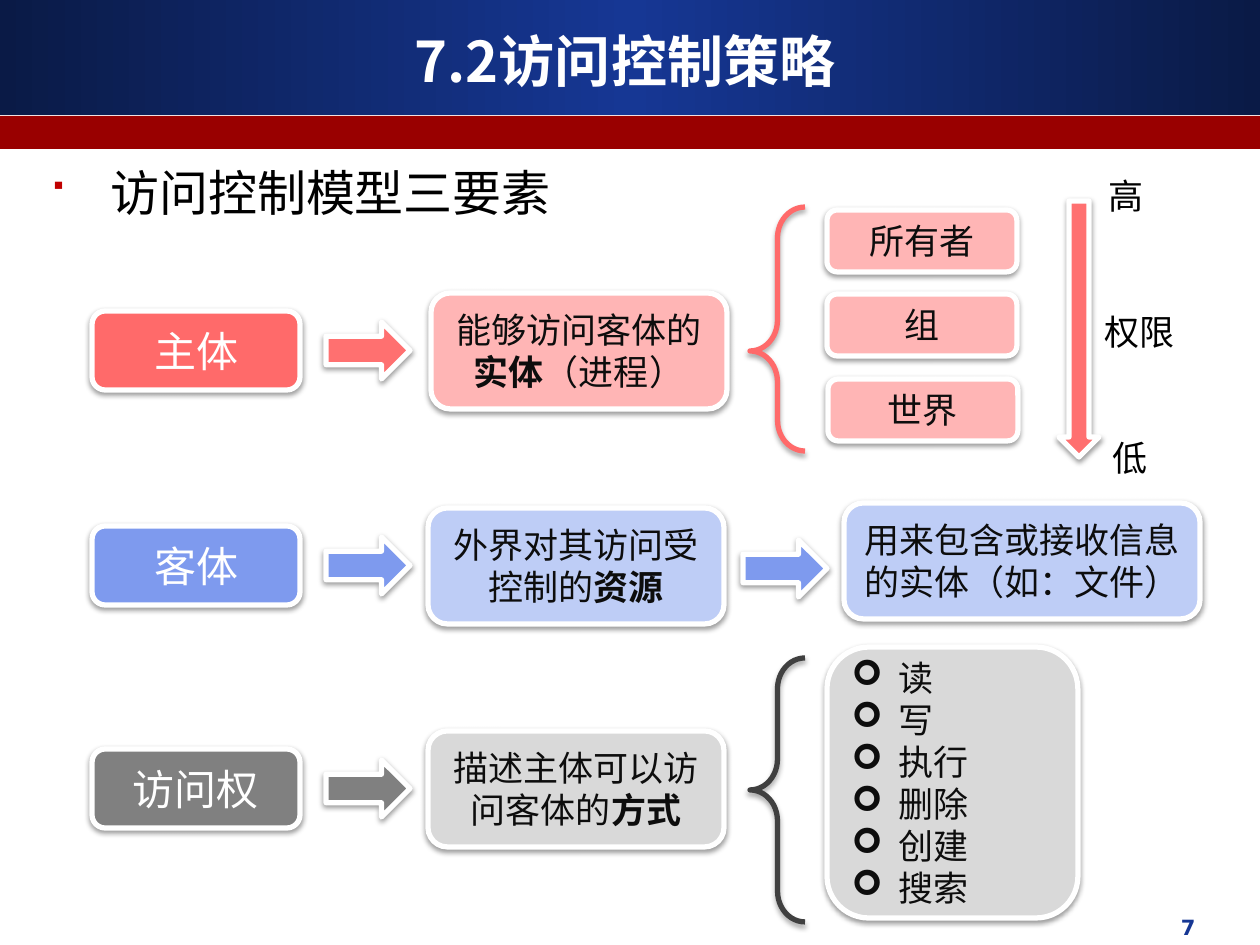
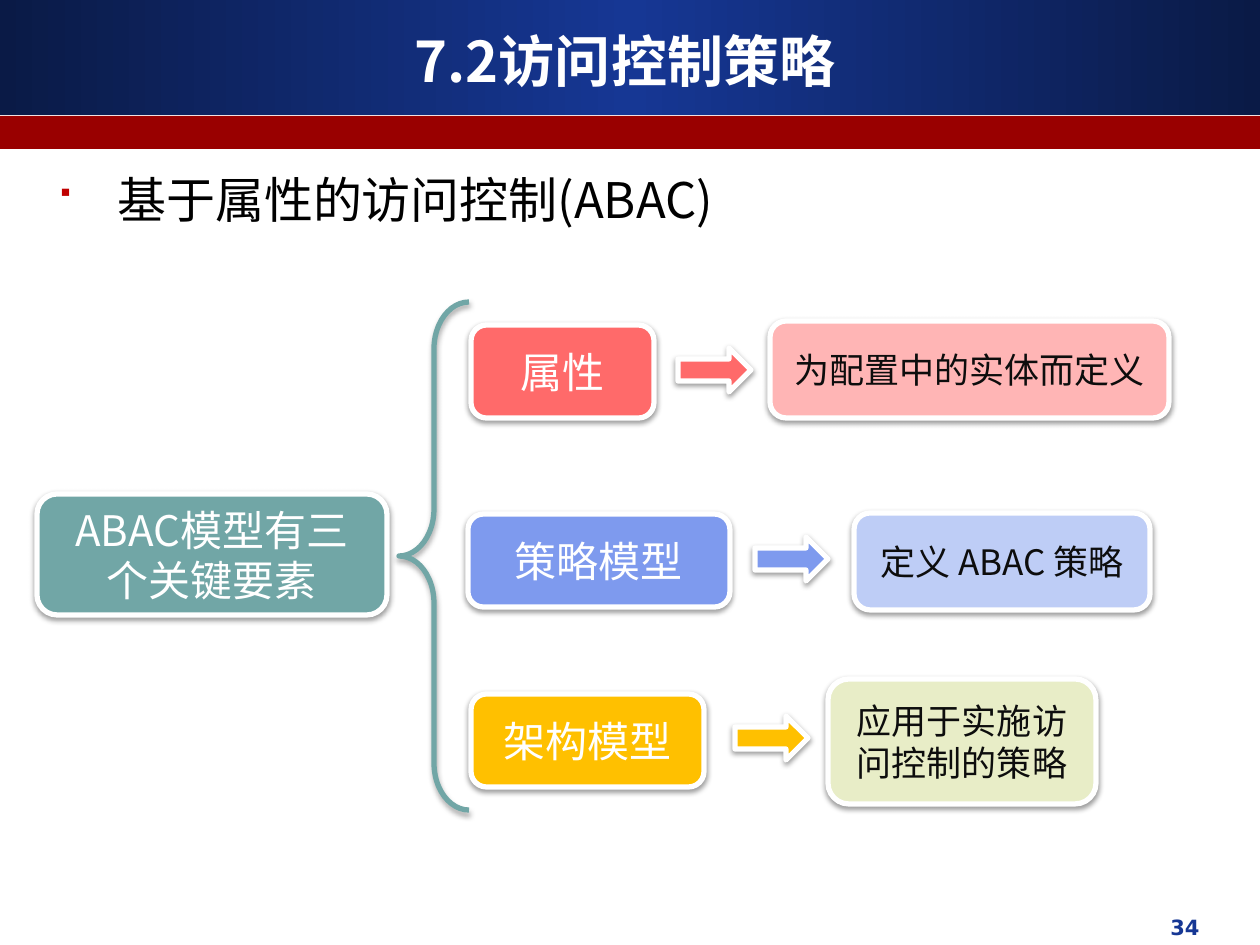
import lxml.etree
import pptx
import pptx.dml.color
import pptx.enum.shapes
import pptx.enum.text
import pptx.oxml.ns
import pptx.util

EMU_PER_PX = 914400 / 126
SHAPES = pptx.enum.shapes.MSO_SHAPE
ALIGN = pptx.enum.text.PP_ALIGN
ANCHOR = pptx.enum.text.MSO_ANCHOR

BODY_FONT = "Noto Sans CJK SC"
NUMBER_FONT = "DejaVu Sans"
WHITE, BLACK, INK = "FFFFFF", "000000", "0D0D0D"
BAND_EDGE, BAND_CENTRE, BAND_RED, BULLET_RED = "0A1A46", "163794", "990000", "C00000"
RED, ARROW_RED, PALE_RED = "FF6A6A", "FF7070", "FFB5B5"
BLUE, PALE_BLUE = "7E9AEE", "BECDF6"
GREY, PALE_GREY, DARK_GREY = "808080", "D9D9D9", "404040"
TEAL, AMBER, PALE_GREEN = "71A6A6", "FFC000", "E8EDC7"


def px(length):
    return pptx.util.Emu(round(length * EMU_PER_PX))


def color(value):
    return pptx.dml.color.RGBColor.from_string(value)


def add_element(parent, tag, **attributes):
    child = lxml.etree.SubElement(parent, pptx.oxml.ns.qn(tag))
    for name, value in attributes.items():
        child.set(name, str(value))
    return child


def add_bullet(para, symbol, indent, tint):
    properties = para._p.get_or_add_pPr()
    properties.set("marL", str(px(indent)))
    properties.set("indent", str(-px(indent)))
    add_element(add_element(properties, "a:buClr"), "a:srgbClr", val=tint)
    add_element(properties, "a:buFont", typeface="Wingdings")
    add_element(properties, "a:buChar", char=symbol)


def write_text(shape, text, size=20, tint=INK, font=BODY_FONT, bold=False, align=ALIGN.CENTER,
               anchor=ANCHOR.MIDDLE, bullet=None, indent=0, bullet_tint=INK):
    frame = shape.text_frame
    frame.word_wrap = True
    frame.vertical_anchor = anchor
    for index, line in enumerate(text.split("\n")):
        para = frame.paragraphs[0] if index == 0 else frame.add_paragraph()
        para.alignment = align
        if bullet:
            add_bullet(para, bullet, indent, bullet_tint)
        for part, words in enumerate(line.split("*")):
            if not words:
                continue
            span = para.add_run()
            span.text = words
            span.font.size = pptx.util.Pt(size)
            span.font.name = font
            span.font.bold = bold or part % 2 == 1
            span.font.color.rgb = color(tint)
            add_element(span._r.get_or_add_rPr(), "a:ea", typeface=font)


def add_label(page, text, left, top, width, height, **style):
    box = page.shapes.add_textbox(px(left), px(top), px(width), px(height))
    write_text(box, text, **{"align": ALIGN.LEFT, "anchor": ANCHOR.TOP, **style})


def add_figure(page, kind, left, top, width, height, fill=None, line=None):
    shape = page.shapes.add_shape(kind, px(left), px(top), px(width), px(height))
    shape.shadow.inherit = False
    if fill:
        shape.fill.solid()
        shape.fill.fore_color.rgb = color(fill)
    else:
        shape.fill.background()
    if line:
        shape.line.color.rgb = color(line)
        shape.line.width = pptx.util.Pt(3)
    else:
        shape.line.fill.background()
    return shape


def cast_shadow(shape, distance=1.6, opacity=38):
    effects = shape._element.spPr.find(pptx.oxml.ns.qn("a:effectLst"))
    shadow = add_element(effects, "a:outerShdw", blurRad=pptx.util.Pt(3.1),
                         dist=pptx.util.Pt(distance), dir=5400000, rotWithShape=0)
    add_element(add_element(shadow, "a:srgbClr", val=BLACK), "a:alpha", val=opacity * 1000)


def add_card(page, text, left, top, width, height, fill, **style):
    card = add_figure(page, SHAPES.ROUNDED_RECTANGLE, left, top, width, height, fill, WHITE)
    cast_shadow(card)
    write_text(card, text, **style)


def add_heading_card(page, text, left, top, width, height, fill):
    add_card(page, text, left, top, width, height, fill, size=24, tint=WHITE)


def add_arrow(page, left, top, width, height, fill, rotation=0):
    arrow = add_figure(page, SHAPES.RIGHT_ARROW, left, top, width, height, fill, WHITE)
    arrow.rotation = rotation
    cast_shadow(arrow)


def add_brace(page, left, top, width, height, line, curve, point=0.5):
    brace = add_figure(page, SHAPES.LEFT_BRACE, left, top, width, height, line=line)
    brace.adjustments[0] = curve
    brace.adjustments[1] = point
    cast_shadow(brace, distance=1.8, opacity=35)


def add_page(deck, topic, topic_left, topic_top, number, number_left):
    page = deck.slides.add_slide(deck.slide_layouts[6])
    band = add_figure(page, SHAPES.RECTANGLE, 0, 0, 1260, 115, BAND_CENTRE)
    band.fill.gradient()
    band.fill.gradient_angle = 0
    stops = band.fill._fill._gradFill.gsLst
    for stop in list(stops):
        stops.remove(stop)
    for position, tint in ((0, BAND_EDGE), (50, BAND_CENTRE), (100, BAND_EDGE)):
        add_element(add_element(stops, "a:gs", pos=position * 1000), "a:srgbClr", val=tint)
    add_figure(page, SHAPES.RECTANGLE, 0, 116, 1260, 33, BAND_RED)
    add_label(page, "7.2访问控制策略", 42, 21, 1166, 78, size=32, tint=WHITE, bold=True,
              align=ALIGN.CENTER, anchor=ANCHOR.MIDDLE)
    add_label(page, topic, topic_left, topic_top, 1137, 72, size=28, tint=BLACK,
              bullet="■", indent=63, bullet_tint=BULLET_RED)
    add_label(page, number, number_left, 908, 399, 44, size=12, tint=BAND_CENTRE,
              font=NUMBER_FONT, bold=True, align=ALIGN.RIGHT)
    return page


def build_elements_page(deck):
    page = add_page(deck, "访问控制模型三要素", 35, 156, "7", 809)
    rows = (
        ("主体", "能够访问客体的*实体*（进程）", 351, 431, RED, ARROW_RED, PALE_RED),
        ("客体", "外界对其访问受控制的*资源*", 566, 428, BLUE, BLUE, PALE_BLUE),
        ("访问权", "描述主体可以访问客体的*方式*", 789, 428, GREY, GREY, PALE_GREY),
    )
    for name, meaning, middle, meaning_left, strong, arrow, pale in rows:
        add_heading_card(page, name, 92, middle - 40, 208, 79, strong)
        add_arrow(page, 326, middle - 29, 84, 57, arrow)
        add_card(page, meaning, meaning_left, middle - 58, 296, 116, pale)

    add_brace(page, 750, 207, 55, 244, RED, 0.56, 0.59)
    for owner, left, top in (("所有者", 827, 210), ("组", 827, 294), ("世界", 828, 379)):
        add_card(page, owner, left, top, 190, 62, PALE_RED)
    add_arrow(page, 951, 309, 256, 40, ARROW_RED, rotation=90)
    for level, left, top in (("高", 1096, 168), ("权限", 1092, 304), ("低", 1100, 430)):
        add_label(page, level, left, top, 102, 55, tint=BLACK)

    add_arrow(page, 743, 540, 84, 57, BLUE)
    add_card(page, "用来包含或接收信息的实体（如：文件）", 844, 503, 356, 116, PALE_BLUE)

    add_brace(page, 750, 658, 55, 264, DARK_GREY, 0.56)
    add_card(page, "读\n写\n执行\n删除\n创建\n搜索", 827, 647, 251, 271, PALE_GREY,
             align=ALIGN.LEFT, bullet="➢", indent=47)


def build_attribute_page(deck):
    page = add_page(deck, "基于属性的访问控制(ABAC)", 42, 163, "34", 813)
    add_heading_card(page, "ABAC模型有三个关键要素", 37, 494, 350, 121, TEAL)
    add_brace(page, 399, 302, 70, 508, TEAL, 0.67)
    rows = (
        ("属性", 471, 325, 183, RED, 678, 348),
        ("策略模型", 468, 514, 262, BLUE, 755, 537),
        ("架构模型", 471, 694, 233, AMBER, 735, 716),
    )
    for name, left, top, width, strong, arrow_left, arrow_top in rows:
        add_heading_card(page, name, left, top, width, 93, strong)
        add_arrow(page, arrow_left, arrow_top, 73, 44, strong)
    add_card(page, "为配置中的实体而定义", 770, 321, 399, 97, PALE_RED)
    add_card(page, "定义 ABAC 策略", 854, 513, 296, 97, PALE_BLUE)
    add_card(page, "应用于实施访问控制的策略", 828, 679, 268, 125, PALE_GREEN)


def main():
    deck = pptx.Presentation()
    deck.slide_width = px(1260)
    deck.slide_height = px(945)
    build_elements_page(deck)
    build_attribute_page(deck)
    deck.save("out.pptx")


if __name__ == "__main__":
    main()
